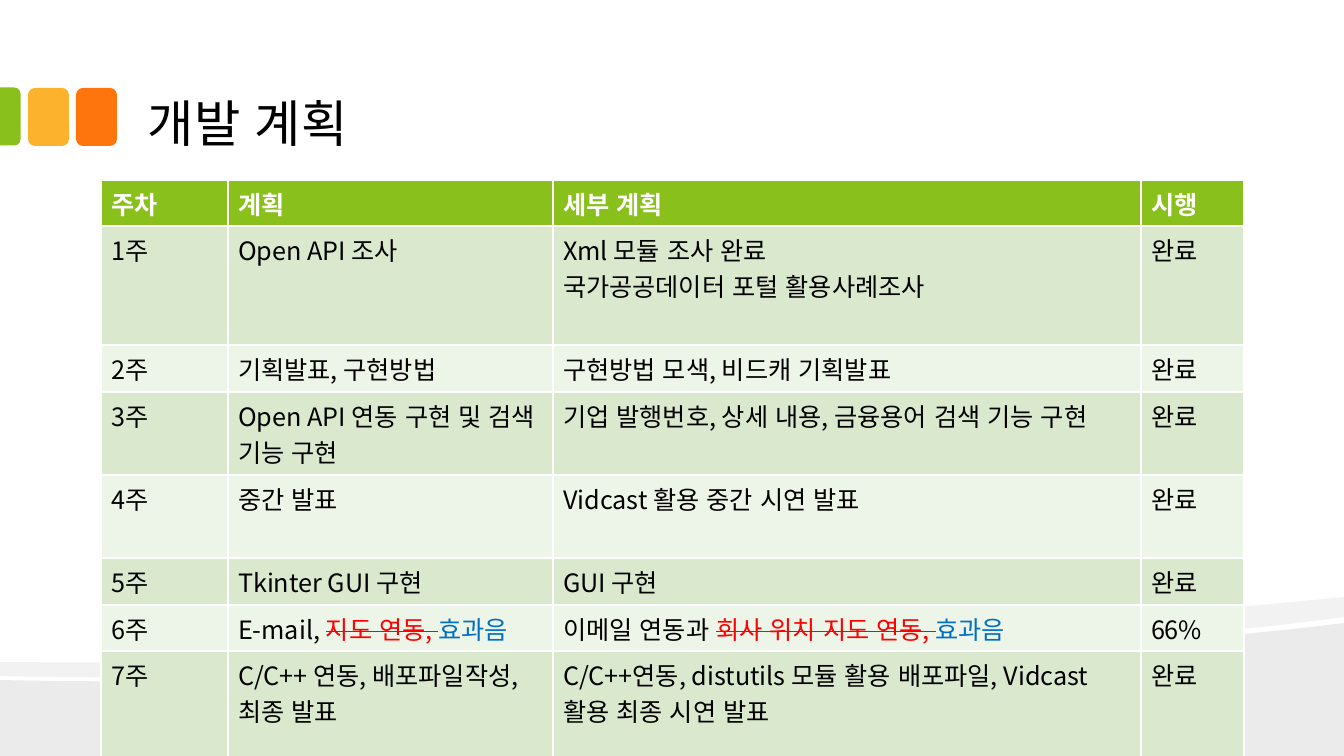
from typing import NamedTuple

from lxml import etree
from pptx import Presentation
from pptx import util as u
from pptx.dml.color import RGBColor
from pptx.enum import lang, shapes, text
from pptx.oxml import ns

PX = 914400 / 100.8
FONT = "Noto Sans CJK KR"
GREEN, BLACK, WHITE, RED, BLUE = "89C01C", "000000", "FFFFFF", "FF0000", "0070C0"
ROW_FILLS = ("EDF4E8", "DAE8CD")


class Run(NamedTuple):
    text: str
    color: str = BLACK
    strike: bool = False


class Block(NamedTuple):
    kind: shapes.MSO_SHAPE
    x: int
    y: int
    w: int
    h: int
    color: str
    rotation: int = 0


class Band(NamedTuple):
    start: tuple
    segments: list
    alpha: int


class Week(NamedTuple):
    height: int
    plan: list
    detail: list
    status: str = "완료"


BANDS = [
    Band((1344, 623), [[(1344, 756)], [(0, 756)], [(0, 680)],
                       [(355, 688), (1050, 660), (1344, 623)]], 8),
    Band((1344, 597), [[(1344, 617)],
                       [(1265, 628), (1158, 638), (1037, 646)],
                       [(704, 668), (260, 682), (0, 676)],
                       [(0, 662)],
                       [(657, 667), (979, 632), (1344, 597)]], 5),
]
BLOCKS = [
    Block(shapes.MSO_SHAPE.ROUNDED_RECTANGLE, 76, 88, 41, 58, "FE750E"),
    Block(shapes.MSO_SHAPE.ROUNDED_RECTANGLE, 28, 88, 41, 58, "FCB22C"),
    Block(shapes.MSO_SHAPE.ROUND_2_SAME_RECTANGLE, -19, 106, 58, 21, GREEN, 90),
]
COLUMNS = {"주차": 127, "계획": 325, "세부 계획": 588, "시행": 103}
HEADER_HEIGHT = 46
EFFECT = Run("효과음", BLUE)
WEEKS = [
    Week(119, [[Run("Open API 조사")]],
         [[Run("Xml 모듈 조사 완료")], [Run("국가공공데이터 포털 활용사례조사")]]),
    Week(47, [[Run("기획발표, 구현방법")]], [[Run("구현방법 모색, 비드캐 기획발표")]]),
    Week(83, [[Run("Open API 연동 구현 및 검색 기능 구현")]],
         [[Run("기업 발행번호, 상세 내용, 금융용어 검색 기능 구현")]]),
    Week(83, [[Run("중간 발표")]], [[Run("Vidcast 활용 중간 시연 발표")]]),
    Week(47, [[Run("Tkinter GUI 구현")]], [[Run("GUI 구현")]]),
    Week(46, [[Run("E-mail, "), Run("지도 연동, ", RED, True), EFFECT]],
         [[Run("이메일 연동과 "), Run("회사 위치 지도 연동, ", RED, True), EFFECT]], "66%"),
    Week(119, [[Run("C/C++ 연동, 배포파일작성, 최종 발표")]],
         [[Run("C/C++연동, distutils 모듈 활용 배포파일, Vidcast 활용 최종 시연 발표")]]),
]


def px(n: float) -> u.Emu:
    return u.Emu(round(n * PX))


def rgb(color: str) -> RGBColor:
    return RGBColor.from_string(color)


def paint(target, color: str) -> None:
    target.fill.solid()
    target.fill.fore_color.rgb = rgb(color)


def add_xml(parent, tag: str, **attrs: str):
    return etree.SubElement(parent, ns.qn(tag), attrs)


def draw_band(slide, band: Band) -> None:
    ends = [band.start, *(segment[-1] for segment in band.segments)]
    left, top = (min(values) for values in zip(*ends))
    builder = slide.shapes.build_freeform(*band.start, scale=PX)
    builder.add_line_segments(ends[1:], close=True)
    s = builder.convert_to_shape()
    s.shadow.inherit = False
    s.line.fill.background()
    paint(s, BLACK)
    color = s._element.spPr.find(".//" + ns.qn("a:srgbClr"))
    add_xml(color, "a:alpha", val=str(band.alpha * 1000))
    lines = s._element.spPr.findall(".//" + ns.qn("a:lnTo"))
    for line, segment in zip(lines, band.segments):
        if len(segment) == 3:
            line.tag = ns.qn("a:cubicBezTo")
            line.remove(line[0])
            for x, y in segment:
                add_xml(line, "a:pt", x=str(x - left), y=str(y - top))


def draw_block(slide, block: Block) -> None:
    s = slide.shapes.add_shape(block.kind, *map(px, block[1:5]))
    s.shadow.inherit = False
    s.rotation = block.rotation
    s.line.fill.background()
    paint(s, block.color)
    if block.rotation:
        s.adjustments[0] = 0.29


def write(tf, paragraphs: list, size: int, bold: bool = False) -> None:
    for i, runs in enumerate(paragraphs):
        p = tf.add_paragraph() if i else tf.paragraphs[0]
        p.font.name, p.font.size, p.font.bold = FONT, u.Pt(size), bold
        p._p.get_or_add_pPr().set("hangingPunct", "0")
        add_xml(p.font._element, "a:ea", typeface=FONT)
        for run in runs:
            r = p.add_run()
            r.text = run.text
            r.font.color.rgb = rgb(run.color)
            r.font.language_id = lang.MSO_LANGUAGE_ID.KOREAN
            r.font._element.set("kern", "0")
            if run.strike:
                r.font._element.set("strike", "sngStrike")


def draw_title(slide, title: str) -> None:
    tf = slide.shapes.add_textbox(px(135), px(17), px(1075), px(143)).text_frame
    tf.word_wrap = True
    tf.vertical_anchor = text.MSO_ANCHOR.BOTTOM
    tf.margin_left = tf.margin_right = px(13)
    tf.margin_top = tf.margin_bottom = px(7)
    write(tf, [[Run(title)]], 36)


def draw_plan(slide) -> None:
    heights = [HEADER_HEIGHT, *(week.height for week in WEEKS)]
    widths = list(COLUMNS.values())
    table = slide.shapes.add_table(len(heights), len(widths), px(101), px(180),
                                   px(sum(widths)), px(sum(heights))).table
    for column, width in zip(table.columns, widths):
        column.width = px(width)
    rows = [[[[Run(name, WHITE)]] for name in COLUMNS]]
    rows += [[[[Run(f"{n}주")]], week.plan, week.detail, [[Run(week.status)]]]
             for n, week in enumerate(WEEKS, 1)]
    for i, (height, row) in enumerate(zip(heights, rows)):
        table.rows[i].height = px(height)
        for j, paragraphs in enumerate(row):
            cell = table.cell(i, j)
            paint(cell, ROW_FILLS[i % 2] if i else GREEN)
            write(cell.text_frame, paragraphs, 18, bold=i == 0)


prs = Presentation()
prs.slide_width, prs.slide_height = px(1344), px(756)
slide = prs.slides.add_slide(prs.slide_layouts[6])
for band in BANDS:
    draw_band(slide, band)
for block in BLOCKS:
    draw_block(slide, block)
draw_title(slide, "개발 계획")
draw_plan(slide)
prs.save("out.pptx")
